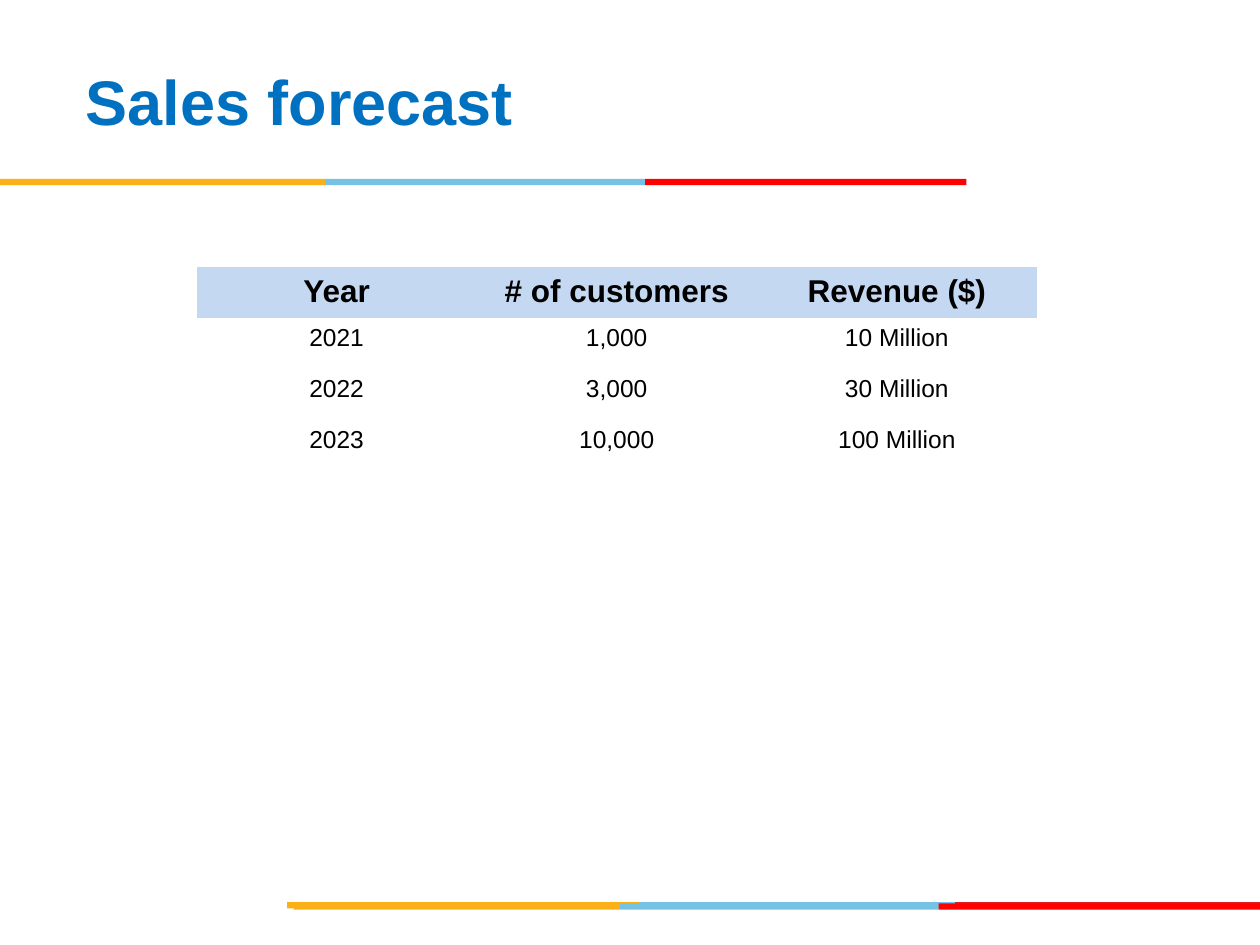
from dataclasses import dataclass

from pptx import Presentation
from pptx.dml.color import RGBColor
from pptx.enum import shapes, text
from pptx.util import Inches, Pt


@dataclass(frozen=True)
class Theme:
    font: str = "Arial"
    title: str = "0070C0"
    ink: str = "000000"
    header: str = "C5D8F1"
    orange: str = "FCB017"
    blue: str = "76C2E5"
    crimson: str = "E31C24"
    red: str = "FF0000"
    title_size: int = 36
    header_size: int = 18
    body_size: int = 14


THEME = Theme()
BAR_HEIGHT = 0.05
NO_GRID_STYLE = "{2D5ABB26-0587-4C30-8999-92F81FD0307C}"

FORECAST = [
    ("Year", "# of customers", "Revenue ($)"),
    ("2021", "1,000", "10 Million"),
    ("2022", "3,000", "30 Million"),
    ("2023", "10,000", "100 Million"),
]


def format_runs(paragraph, size, color, bold):
    for run in paragraph.runs:
        run.font.name = THEME.font
        run.font.size = Pt(size)
        run.font.bold = bold
        run.font.color.rgb = RGBColor.from_string(color)


def add_stripe(slide, top, edges, colors):
    for left, right, color in zip(edges, edges[1:], colors):
        bar = slide.shapes.add_shape(
            shapes.MSO_SHAPE.RECTANGLE,
            Inches(left), Inches(top), Inches(right - left), Inches(BAR_HEIGHT),
        )
        bar.shadow.inherit = False
        bar.fill.solid()
        bar.fill.fore_color.rgb = RGBColor.from_string(color)
        bar.line.fill.background()


def set_title(slide, wording):
    title = slide.shapes.title
    title.left, title.top = Inches(0.33), Inches(0.17)
    title.width, title.height = Inches(6.92), Inches(1.25)
    frame = title.text_frame
    frame.text = wording
    frame.auto_size = text.MSO_AUTO_SIZE.NONE
    frame.vertical_anchor = text.MSO_ANCHOR.MIDDLE
    heading = frame.paragraphs[0]
    heading.alignment = text.PP_ALIGN.LEFT
    indents = heading._p.get_or_add_pPr()
    indents.set("marL", str(Inches(0.5)))
    indents.set("indent", str(Inches(-0.25)))
    format_runs(heading, THEME.title_size, THEME.title, True)


def add_forecast(slide, rows):
    table = slide.shapes.add_table(
        len(rows), len(rows[0]),
        Inches(1.56), Inches(2.12), Inches(6.67), Inches(1.62),
    ).table
    table.horz_banding = False
    table._tbl.tblPr.find("{*}tableStyleId").text = NO_GRID_STYLE
    for row_index, row in enumerate(rows):
        is_header = row_index == 0
        size = THEME.header_size if is_header else THEME.body_size
        for column_index, value in enumerate(row):
            cell = table.cell(row_index, column_index)
            cell.text_frame.text = value
            entry = cell.text_frame.paragraphs[0]
            entry.alignment = text.PP_ALIGN.CENTER
            format_runs(entry, size, THEME.ink, is_header)
            if is_header:
                cell.fill.solid()
                cell.fill.fore_color.rgb = RGBColor.from_string(THEME.header)
            else:
                cell.fill.background()


def main():
    deck = Presentation()
    deck.slide_width, deck.slide_height = Inches(10), Inches(7.5)
    slide = deck.slides.add_slide(deck.slide_layouts[5])

    stripe_colors = (THEME.orange, THEME.blue, THEME.red)
    footer_colors = (THEME.orange, THEME.blue, THEME.crimson)
    add_stripe(slide, 7.16, (2.28, 5.08, 7.58, 10), footer_colors)
    add_stripe(slide, 7.17, (2.33, 4.92, 7.45, 10), stripe_colors)
    add_stripe(slide, 1.42, (0, 2.58, 5.12, 7.67), stripe_colors)
    set_title(slide, "Sales forecast")
    add_forecast(slide, FORECAST)
    deck.save("out.pptx")


if __name__ == "__main__":
    main()
